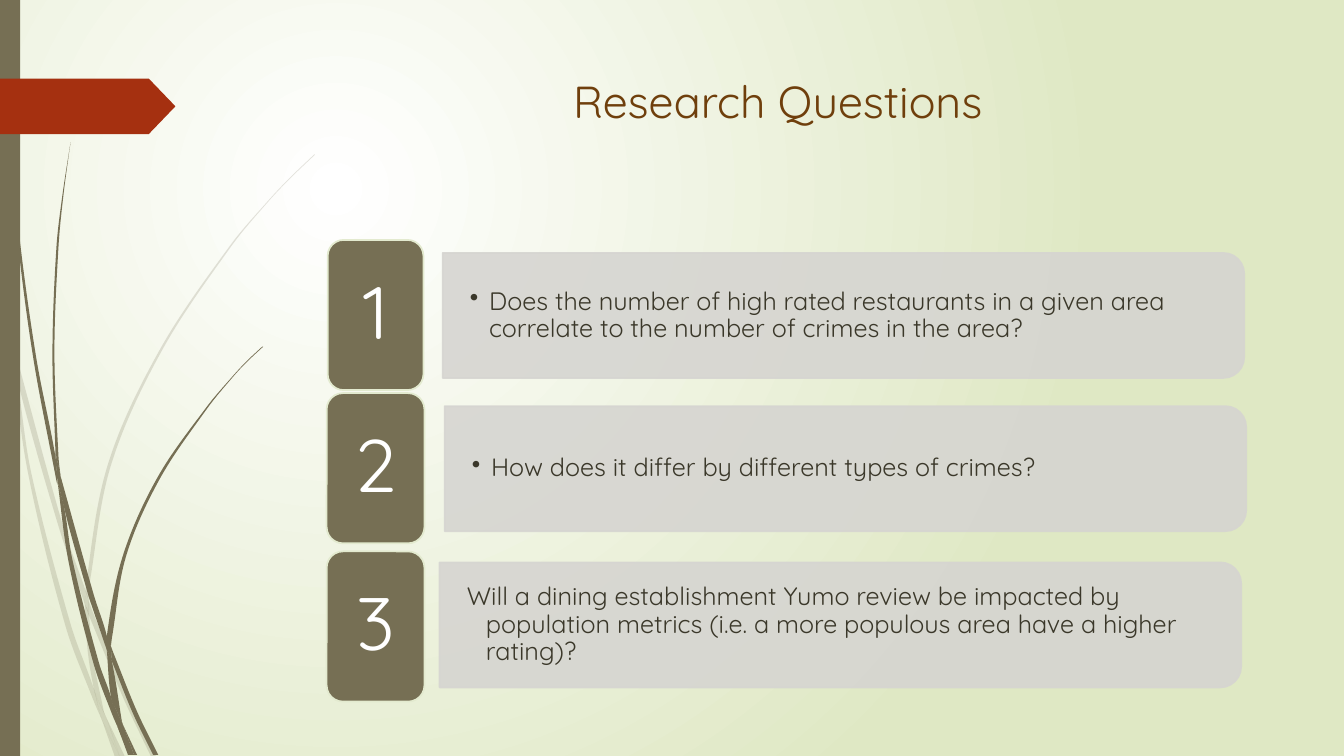
import math
from dataclasses import dataclass

import pptx
import pptx.dml.color
import pptx.enum.shapes
import pptx.enum.text
import pptx.oxml.ns
import pptx.util
from lxml import etree

Inches, Pt = pptx.util.Inches, pptx.util.Pt
RGBColor = pptx.dml.color.RGBColor
Shape = pptx.enum.shapes.MSO_SHAPE
Anchor = pptx.enum.text.MSO_ANCHOR
Align = pptx.enum.text.PP_ALIGN
qn = pptx.oxml.ns.qn
Edge = list[tuple[float, float]]

FONT = "Quicksand"
WHITE = RGBColor(0xFF, 0xFF, 0xFF)
PALE_GREEN = RGBColor(0xDF, 0xE8, 0xC4)
OLIVE = RGBColor(0x76, 0x6F, 0x54)
RUST = RGBColor(0xA5, 0x30, 0x10)
BROWN = RGBColor(0x6F, 0x3F, 0x0C)
BAR_GREY = RGBColor(0xD6, 0xD5, 0xD1)
TILE_EDGE = RGBColor(0xE3, 0xEA, 0xCF)
DARK_TEXT = RGBColor(0x3B, 0x38, 0x2A)
BAR_W, BAR_H, TILE_H = 7.95, 1.24, 1.49


@dataclass
class Blade:
    """A piece of grass between two smooth edges, one running down and one back up."""
    down: Edge
    up: Edge


@dataclass
class Question:
    number: str
    text: str
    tile_left: float
    tile_top: float
    tile_w: float
    bar_left: float
    bar_top: float
    bulleted: bool = True


PALE_BLADES = [
    Blade([(0, 2.82), (0.09, 3.22), (0.11, 3.5)], [(0.1, 3.44), (0, 2.99)]),
    Blade([(0.14, 3.45), (0.62, 5.2), (0.85, 5.86)],
          [(0.84, 5.99), (0.58, 5.22), (0.17, 3.76), (0.14, 3.45)]),
    Blade([(0.88, 5.96), (0.92, 6.07), (1.27, 6.92), (1.55, 7.51)],
          [(1.5, 7.51), (1.23, 6.94), (0.88, 6.1)]),
    Blade([(1.05, 7.11), (1.24, 7.51)], [(1.19, 7.51), (1.05, 7.11)]),
    Blade([(0.11, 3.5), (0.17, 3.76), (0.31, 4.69), (0.7, 6.19), (0.93, 6.83), (0.99, 7.07)],
          [(1.01, 7.14), (0.92, 6.93), (0.65, 6.21), (0.28, 4.7), (0.11, 3.5)]),
    Blade([(0.84, 5.99), (0.88, 6.08), (0.91, 6.46), (1.03, 7.06)],
          [(1.05, 7.11), (0.96, 6.92), (0.93, 6.83), (0.87, 6.46), (0.84, 5.99)]),
    Blade([(3.12, 1.53), (2.89, 1.75), (2.68, 1.97), (2.28, 2.44), (1.58, 3.48),
           (1.07, 4.61), (0.85, 5.84), (0.88, 5.96)],
          [(0.88, 5.84), (1.1, 4.62), (1.6, 3.49), (2.29, 2.45), (2.68, 1.98),
           (2.9, 1.75), (3.12, 1.54)]),
    Blade([(1.01, 7.14), (1.19, 7.51)], [(1.14, 7.51), (1.01, 7.14)]),
    Blade([(0.85, 5.86), (0.88, 5.96), (0.88, 6.1)], [(0.84, 5.99), (0.85, 5.86)]),
    Blade([(0.93, 6.83), (0.96, 6.92), (1.05, 7.11), (1.19, 7.51)],
          [(1.01, 7.14), (0.99, 7.07), (0.93, 6.83)]),
]
DARK_BLADES = [
    Blade([(0.04, 0), (0.05, 0.48), (0.08, 1.09), (0.19, 2.32), (0.36, 3.55), (0.55, 4.53),
           (0.57, 4.81)],
          [(0.56, 4.77), (0.33, 3.55), (0.17, 2.33), (0.07, 1.1), (0.04, 0.48), (0.03, 0)]),
    Blade([(0.6, 4.72), (0.93, 5.9), (1.06, 6.31), (1.06, 6.45)],
          [(0.88, 5.92), (0.64, 5.05), (0.6, 4.72)]),
    Blade([(1.1, 6.41), (1.13, 6.49), (1.36, 7.06), (1.57, 7.49)],
          [(1.52, 7.49), (1.32, 7.08), (1.11, 6.56)]),
    Blade([(0.57, 4.77), (0.64, 5.05), (0.72, 5.56), (0.98, 6.57), (1.1, 6.91), (1.16, 7.17)],
          [(1.17, 7.22), (1.11, 7.08), (0.93, 6.59), (0.68, 5.57), (0.57, 4.77)]),
    Blade([(0.7, 1.41), (0.63, 1.93), (0.58, 2.45), (0.54, 3.49), (0.58, 4.53), (0.6, 4.72)],
          [(0.55, 4.49), (0.52, 3.49), (0.56, 2.45), (0.62, 1.93), (0.7, 1.41)]),
    Blade([(1.22, 7.19), (1.36, 7.49)], [(1.33, 7.49), (1.22, 7.19)]),
    Blade([(0.55, 4.49), (0.6, 4.72), (0.64, 5.05)], [(0.57, 4.77), (0.55, 4.53)]),
    Blade([(2.6, 3.44), (2.45, 3.58), (2.31, 3.73), (2.04, 4.05), (1.56, 4.74), (1.22, 5.51),
           (1.06, 6.31), (1.1, 6.41)],
          [(1.11, 6.33), (1.25, 5.52), (1.58, 4.76), (2.05, 4.06), (2.31, 3.74),
           (2.45, 3.59), (2.61, 3.44)]),
    Blade([(1.17, 7.22), (1.31, 7.49)], [(1.27, 7.49), (1.17, 7.22)]),
    Blade([(1.06, 6.45), (1.11, 6.56), (1.21, 7.16)],
          [(1.22, 7.19), (1.16, 7.06), (1.1, 6.91), (1.06, 6.45)]),
    Blade([(1.06, 6.31), (1.1, 6.41), (1.11, 6.56)], [(1.06, 6.45), (1.06, 6.31)]),
    Blade([(1.1, 6.91), (1.16, 7.06), (1.22, 7.19), (1.33, 7.49)],
          [(1.3, 7.49), (1.17, 7.22), (1.1, 6.91)]),
]
QUESTIONS = [
    Question("1", "Does the number of high rated restaurants in a given area correlate "
             "to the number of crimes in the area?", 3.25, 2.38, 0.95, 4.39, 2.51),
    Question("2", "How does it differ by different types of crimes?",
             3.24, 3.9, 0.97, 4.41, 4.03),
    Question("3", "Will a dining establishment Yumo review be impacted by population metrics "
             "(i.e. a more populous area have a higher rating)?",
             3.24, 5.47, 0.97, 4.36, 5.58, bulleted=False),
]


def paint(sp, fill: RGBColor, line: RGBColor | None = None, opacity: int = 100) -> None:
    sp.shadow.inherit = False
    sp.fill.solid()
    sp.fill.fore_color.rgb = fill
    if line is None:
        sp.line.fill.background()
    else:
        sp.line.color.rgb = line
        sp.line.width = Pt(1.25)
    if opacity < 100:
        for clr in sp.element.spPr.iter(qn("a:srgbClr")):
            etree.SubElement(clr, qn("a:alpha"), val=str(opacity * 1000))


def add_preset(s, kind, left: float, top: float, width: float, height: float):
    return s.shapes.add_shape(kind, Inches(left), Inches(top), Inches(width), Inches(height))


def write(sp, text: str, size: float, color: RGBColor, align, anchor,
          inset: tuple[float, float] = (0.1, 0.05), spacing: float = 1.0):
    """Put one run into the shape and return its paragraph."""
    tf = sp.text_frame
    tf.word_wrap = True
    tf.vertical_anchor = anchor
    tf.margin_left = tf.margin_right = Inches(inset[0])
    tf.margin_top = tf.margin_bottom = Inches(inset[1])
    p = tf.paragraphs[0]
    p.alignment, p.line_spacing = align, spacing
    r = p.add_run()
    r.text = text
    r.font.size, r.font.name = Pt(size), FONT
    r.font.color.rgb = color
    return p


def bezier_points(edge: Edge) -> Edge:
    """Two control points and an end point for each stretch of a smooth edge."""
    padded = [edge[0], *edge, edge[-1]]
    points = []
    for a, b, c, d in zip(padded, padded[1:], padded[2:], padded[3:]):
        reach = math.dist(b, c) / 3
        start, end = reach / math.dist(a, c), reach / math.dist(b, d)
        points += [(b[0] + (c[0] - a[0]) * start, b[1] + (c[1] - a[1]) * start),
                   (c[0] - (d[0] - b[0]) * end, c[1] - (d[1] - b[1]) * end), c]
    return points


def draw_blade(s, blade: Blade, opacity: int) -> None:
    joint = [blade.down[-1], blade.up[0], blade.up[0]]
    outline = bezier_points(blade.down) + joint + bezier_points(blade.up)
    builder = s.shapes.build_freeform(*map(Inches, blade.down[0]))
    builder.add_line_segments([(Inches(x), Inches(y)) for x, y in outline], close=True)
    sp = builder.convert_to_shape()
    segments = list(sp.element.iter(qn("a:lnTo")))
    for first, second, third in zip(segments[::3], segments[1::3], segments[2::3]):
        first.tag = qn("a:cubicBezTo")
        for segment in (second, third):
            first.append(segment[0])
            segment.getparent().remove(segment)
    paint(sp, OLIVE, opacity=opacity)


def draw_question(s, q: Question) -> None:
    bar = add_preset(s, Shape.ROUND_2_SAME_RECTANGLE, q.bar_left + (BAR_W - BAR_H) / 2,
                     q.bar_top - (BAR_W - BAR_H) / 2, BAR_H, BAR_W)
    bar.rotation = 90
    paint(bar, BAR_GREY, BAR_GREY, opacity=90)
    box = s.shapes.add_textbox(Inches(q.bar_left), Inches(q.bar_top + 0.06),
                               Inches(7.89), Inches(1.12))
    p = write(box, q.text, 18, DARK_TEXT, Align.LEFT, Anchor.MIDDLE, (0.27, 0.14), 0.9)
    pPr = p._p.get_or_add_pPr()
    pPr.set("marL", str(Inches(0.19)))
    pPr.set("indent", str(-Inches(0.19)))
    if q.bulleted:
        etree.SubElement(pPr, qn("a:buChar"), char="•")
    tile = add_preset(s, Shape.ROUNDED_RECTANGLE, q.tile_left, q.tile_top, q.tile_w, TILE_H)
    paint(tile, OLIVE, TILE_EDGE)
    write(tile, q.number, 53, WHITE, Align.CENTER, Anchor.MIDDLE, (0.22, 0.11), 0.9)


def set_background(s) -> None:
    fill = s.background.fill
    fill.gradient()
    for stop, position, color in zip(fill.gradient_stops, (0, 1), (WHITE, PALE_GREEN)):
        stop.position = position
        stop.color.rgb = color
    grad = next(s.element.iter(qn("a:gradFill")))
    grad.remove(grad.find(qn("a:lin")))
    circle = etree.SubElement(grad, qn("a:path"), path="circle")
    etree.SubElement(circle, qn("a:fillToRect"), l="50000", t="50000", r="100000", b="100000")


def main() -> None:
    prs = pptx.Presentation()
    prs.slide_width, prs.slide_height = Inches(13.33), Inches(7.5)
    s = prs.slides.add_slide(prs.slide_layouts[6])
    set_background(s)
    for blades, opacity in ((PALE_BLADES, 20), (DARK_BLADES, 100)):
        for blade in blades:
            draw_blade(s, blade, opacity)
    paint(add_preset(s, Shape.RECTANGLE, 0, 0, 0.2, 7.5), OLIVE)
    arrow = add_preset(s, Shape.PENTAGON, 0, 0.78, 1.74, 0.55)
    arrow.adjustments[0] = 0.48
    paint(arrow, RUST)
    title = s.shapes.add_textbox(Inches(2.84), Inches(0.68), Inches(9.75), Inches(1.4))
    write(title, "Research Questions", 32, BROWN, Align.CENTER, Anchor.TOP)
    for question in QUESTIONS:
        draw_question(s, question)
    prs.save("out.pptx")


if __name__ == "__main__":
    main()
